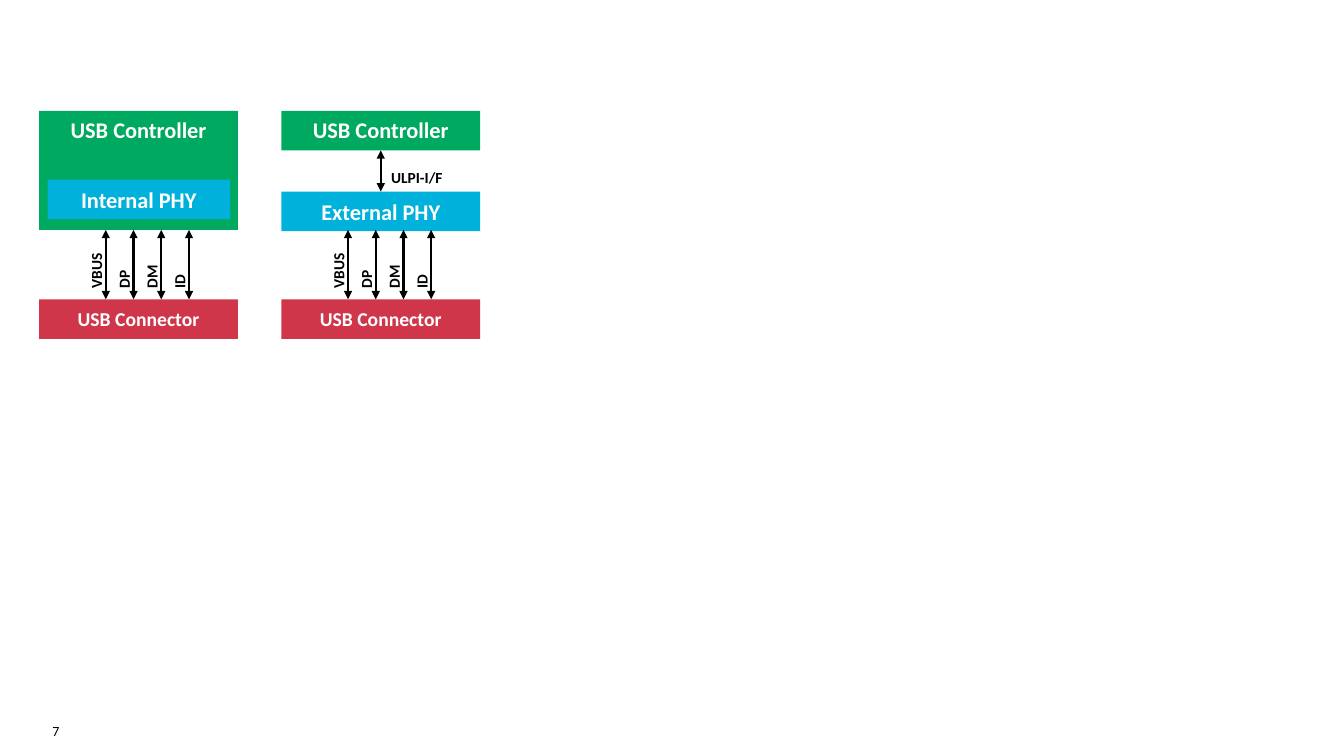
from lxml import etree
from pptx import Presentation
from pptx.dml.color import RGBColor
from pptx.enum.shapes import MSO_CONNECTOR as Connector, MSO_SHAPE as Shape
from pptx.enum.text import MSO_ANCHOR as Anchor, MSO_AUTO_SIZE as AutoSize, PP_ALIGN as Align
from pptx.oxml.ns import qn
from pptx.util import Pt

GREEN, BLUE, RED = "00A960", "00B1DB", "CF364A"
BLACK, WHITE = "000000", "FFFFFF"
SIGNALS = ["VBUS", "DP", "DM", "ID"]


def color(code):
    return RGBColor.from_string(code)


def write(frame, *lines, size, fill=BLACK, bold=True, align=Align.LEFT,
          anchor=Anchor.TOP, spacing=None, wrap=True, insets=None, grow=False):
    frame.word_wrap = wrap
    frame.vertical_anchor = anchor
    frame.auto_size = AutoSize.SHAPE_TO_FIT_TEXT if grow else AutoSize.NONE
    if insets:
        (frame.margin_left, frame.margin_top,
         frame.margin_right, frame.margin_bottom) = map(Pt, insets)
    for index, line in enumerate(lines):
        paragraph = frame.add_paragraph() if index else frame.paragraphs[0]
        paragraph.alignment = align
        if spacing:
            paragraph.line_spacing = spacing
        run = paragraph.add_run()
        run.text = line
        run.font.name = "Calibri"
        run.font.size = Pt(size)
        run.font.bold = bold
        run.font.color.rgb = color(fill)


class Diagram:
    block_left, block_width, block_height = 28, 142, 28.2
    controller_top, connector_top = 79.2, 213.8
    signal_top, signal_left, signal_step = 164.2, 75.6, 19.8

    def __init__(self, slide):
        self.shapes = slide.shapes

    def block(self, title, left, top, fill, width=block_width,
              height=block_height, size=16, anchor=Anchor.MIDDLE, **text_format):
        block = self.shapes.add_shape(
            Shape.ROUNDED_RECTANGLE, Pt(left), Pt(top), Pt(width), Pt(height))
        block.adjustments[0] = 0
        block.shadow.inherit = False
        block.fill.solid()
        block.fill.fore_color.rgb = color(fill)
        block.line.fill.background()
        write(block.text_frame, title, size=size, fill=WHITE,
              align=Align.CENTER, anchor=anchor, **text_format)
        return block

    def label(self, *lines, left, top, width, height, rotation=0, **text_format):
        label = self.shapes.add_textbox(Pt(left), Pt(top), Pt(width), Pt(height))
        label.rotation = rotation
        write(label.text_frame, *lines, **text_format)

    def arrow(self, x, top, bottom):
        arrow = self.shapes.add_connector(
            Connector.STRAIGHT, Pt(x), Pt(top), Pt(x), Pt(bottom))
        arrow.line.width = Pt(1.5)
        arrow.line.color.rgb = color(BLACK)
        outline = arrow.line._get_or_add_ln()
        for end in ("a:headEnd", "a:tailEnd"):
            etree.SubElement(outline, qn(end), type="triangle")
        etree.SubElement(arrow._element.spPr, qn("a:effectLst"))
        return arrow

    def controller(self, offset, height=block_height):
        return self.block("USB Controller", self.block_left + offset,
                          self.controller_top, GREEN, height=height,
                          anchor=Anchor.TOP)

    def connector_with_signals(self, offset):
        self.label(*SIGNALS, left=71.3 + offset, top=145.4, width=48.2, height=87.1,
                   rotation=270, size=11, spacing=1.5, grow=True)
        self.block("USB Connector", self.block_left + offset, self.connector_top,
                   RED, size=14, wrap=False, insets=(3, 3, 3, 3))
        for index in range(len(SIGNALS)):
            self.arrow(self.signal_left + offset + index * self.signal_step,
                       self.signal_top, self.connector_top)


def main():
    deck = Presentation()
    deck.slide_width, deck.slide_height = Pt(960), Pt(540)
    diagram = Diagram(deck.slides.add_slide(deck.slide_layouts[6]))
    diagram.label("7", left=37.4, top=516.2, width=103, height=18.7,
                  size=10, bold=False, insets=(0, 0, 7.2, 0))

    diagram.controller(0, height=85)
    diagram.block("Internal PHY", 34, 128.3, BLUE, width=130.3)
    diagram.connector_with_signals(0)

    external = 173
    external_controller = diagram.controller(external)
    external_phy = diagram.block(
        "External PHY", diagram.block_left + external, 136.8, BLUE)
    diagram.connector_with_signals(external)
    diagram.label("ULPI-I/F", left=272.2, top=110.2, width=78.5, height=24.5,
                  size=11, spacing=1.5, grow=True)
    ulpi = diagram.arrow(272, 107.4, 136.8)
    ulpi.begin_connect(external_controller, 2)
    ulpi.end_connect(external_phy, 0)

    deck.save("out.pptx")


if __name__ == "__main__":
    main()
